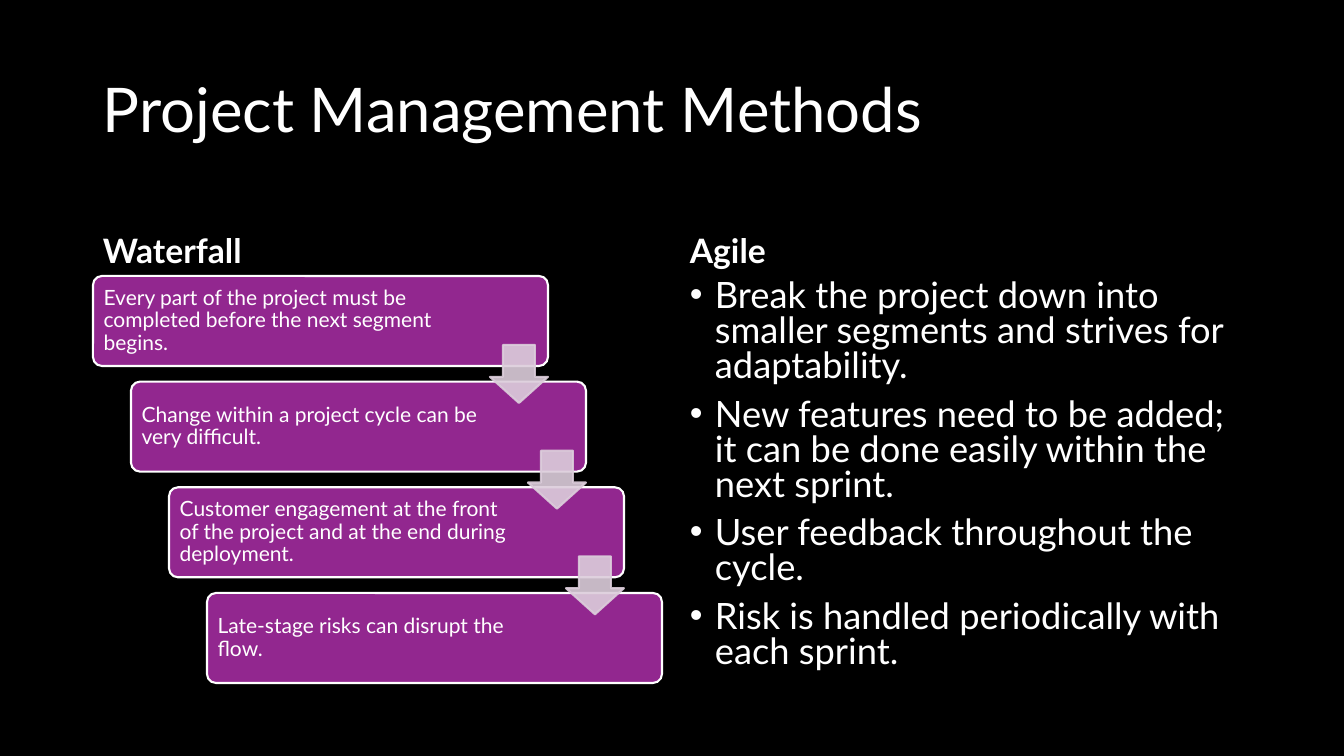
from lxml import etree
from pptx import Presentation
from pptx.dml.color import RGBColor
from pptx.enum import shapes, text
from pptx.oxml import ns
from pptx.util import Pt

# Content
TITLE = "Project Management Methods"
WATERFALL_HEADING = "Waterfall"
WATERFALL_STEPS = [
    "Every part of the project must be completed before the next segment begins.",
    "Change within a project cycle can be very difficult.",
    "Customer engagement at the front of the project and at the end during deployment.",
    "Late-stage risks can disrupt the flow.",
]
AGILE_HEADING = "Agile"
AGILE_POINTS = [
    "Break the project down into smaller segments and strives for adaptability.",
    "New features need to be added; it can be done easily within the next sprint.",
    "User feedback throughout the cycle.",
    "Risk is handled periodically with each sprint.",
]

# Style
FONT = "Lato"
BLACK = RGBColor(0x00, 0x00, 0x00)
WHITE = RGBColor(0xFF, 0xFF, 0xFF)
PURPLE = RGBColor(0x92, 0x27, 0x8F)
PALE_PURPLE = RGBColor(0xDC, 0xCD, 0xDB)
ARROW_OPACITY = 90
MIDDLE, BOTTOM, TOP = (text.MSO_ANCHOR.MIDDLE, text.MSO_ANCHOR.BOTTOM,
                       text.MSO_ANCHOR.TOP)

# Layout in px
PAGE_WIDTH, PAGE_HEIGHT = 1344, 756
TITLE_AREA = (93, 40, 1159, 146)
WATERFALL_HEADING_AREA = (93, 186, 568, 90)
AGILE_HEADING_AREA = (680, 186, 572, 90)
AGILE_AREA = (680, 276, 572, 406)
FIRST_STEP, LAST_STEP = (93, 276), (207, 593)
STEP_WIDTH, STEP_HEIGHT = 455, 90
STEP_INSETS = (8, 8, 105, 8)
ARROW_SIZE, ARROW_DROP = 58, 69
BULLET_INDENT = 25


def px(length):
    return round(length * 914400 / 100.8)


def write(shape, lines, size, anchor, bold=False, spacing=0.9, gap=0, bullets=False):
    frame = shape.text_frame
    frame.word_wrap = True
    frame.vertical_anchor = anchor
    frame.text = "\n".join(lines)
    for index, para in enumerate(frame.paragraphs):
        para.alignment = text.PP_ALIGN.LEFT
        para.line_spacing = spacing
        para.space_before = Pt(gap if index else 0)
        if bullets:
            properties = para._p.get_or_add_pPr()
            properties.set("marL", str(px(BULLET_INDENT)))
            properties.set("indent", str(-px(BULLET_INDENT)))
            etree.SubElement(properties, ns.qn("a:buFont"), typeface="Arial")
            etree.SubElement(properties, ns.qn("a:buChar"), char="•")
        for span in para.runs:
            span.font.name = FONT
            span.font.size = Pt(size)
            span.font.bold = bold
            span.font.color.rgb = WHITE


def add_text(page, area, lines, size, anchor, **options):
    box = page.shapes.add_textbox(*map(px, area))
    write(box, lines, size, anchor, **options)


def add_block(page, kind, area, adjustments, fill, line):
    block = page.shapes.add_shape(kind, *map(px, area))
    for index, value in enumerate(adjustments):
        block.adjustments[index] = value
    block.shadow.inherit = False
    block.fill.solid()
    block.fill.fore_color.rgb = fill
    block.line.color.rgb = line
    block.line.width = Pt(1.5)
    return block


def add_step(page, left, top, label):
    step = add_block(page, shapes.MSO_SHAPE.ROUNDED_RECTANGLE,
                     (left, top, STEP_WIDTH, STEP_HEIGHT), [0.1], PURPLE, WHITE)
    frame = step.text_frame
    (frame.margin_left, frame.margin_top,
     frame.margin_right, frame.margin_bottom) = map(px, STEP_INSETS)
    write(step, [label], 15, MIDDLE)


def add_arrow(page, left, top):
    area = (left + STEP_WIDTH - ARROW_SIZE, top + ARROW_DROP, ARROW_SIZE, ARROW_SIZE)
    arrow = add_block(page, shapes.MSO_SHAPE.DOWN_ARROW, area,
                      [0.55, 0.45], PALE_PURPLE, PALE_PURPLE)
    # The adjustments run in the order head width, head length
    for color in arrow._element.spPr.iter(ns.qn("a:srgbClr")):
        etree.SubElement(color, ns.qn("a:alpha"), val=str(ARROW_OPACITY * 1000))


def main():
    deck = Presentation()
    deck.slide_width, deck.slide_height = px(PAGE_WIDTH), px(PAGE_HEIGHT)
    page = deck.slides.add_slide(deck.slide_layouts[6])
    page.background.fill.solid()
    page.background.fill.fore_color.rgb = BLACK

    # Title and column headings
    add_text(page, TITLE_AREA, [TITLE], 44, MIDDLE)
    add_text(page, WATERFALL_HEADING_AREA, [WATERFALL_HEADING], 24, BOTTOM, bold=True)
    add_text(page, AGILE_HEADING_AREA, [AGILE_HEADING], 24, BOTTOM, bold=True)

    # Waterfall staircase, with an arrow from each step to the next
    last = len(WATERFALL_STEPS) - 1
    corners = [tuple(start + (end - start) * index / last
                     for start, end in zip(FIRST_STEP, LAST_STEP))
               for index in range(last + 1)]
    for corner, label in zip(corners, WATERFALL_STEPS):
        add_step(page, *corner, label)
    for corner in corners[:-1]:
        add_arrow(page, *corner)

    # Agile bullet list
    add_text(page, AGILE_AREA, AGILE_POINTS, 25.9, TOP,
             spacing=0.8, gap=10, bullets=True)

    deck.save("out.pptx")


if __name__ == "__main__":
    main()
